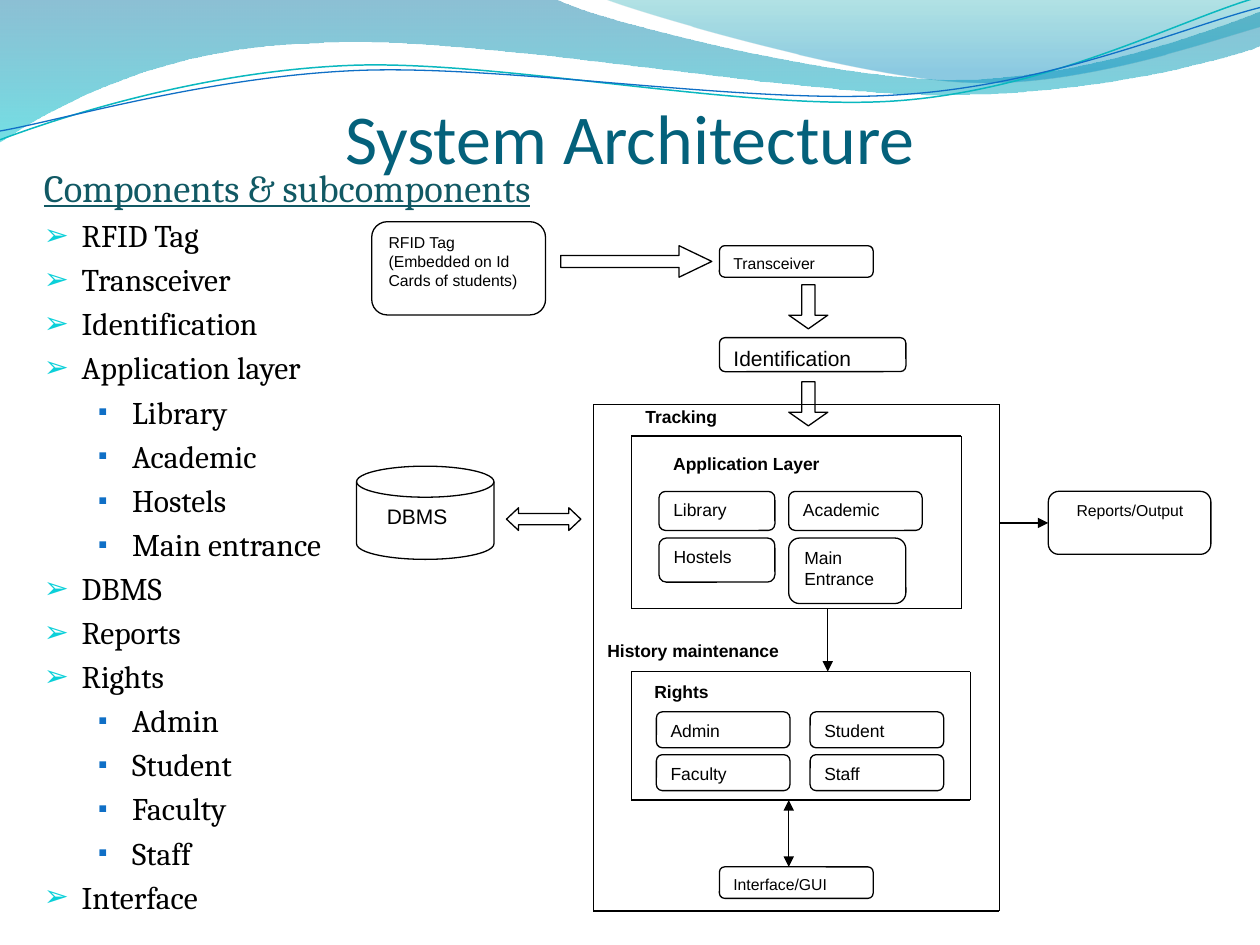
import itertools

import lxml.etree
import pptx
import pptx.dml.color
import pptx.enum.shapes
import pptx.enum.text
import pptx.oxml.ns
import pptx.util

RGBColor = pptx.dml.color.RGBColor
BLACK = RGBColor(0x00, 0x00, 0x00)
WHITE = RGBColor(0xFF, 0xFF, 0xFF)
TITLE_TEAL = RGBColor(0x04, 0x61, 0x7B)
HEADING_TEAL = RGBColor(0x11, 0x59, 0x64)
CYAN = RGBColor(0x0B, 0xD0, 0xD9)
BLUE = RGBColor(0x0F, 0x6F, 0xC6)
WAVE_LINE = RGBColor(0x0A, 0xB8, 0xBF)
DEEP_BLUE = RGBColor(0x00, 0x74, 0xA1)
AQUA = RGBColor(0x00, 0xC6, 0xCF)
GREEN_TEAL = RGBColor(0x00, 0xA1, 0xA9)
SKY = RGBColor(0x00, 0x8B, 0xBF)

Preset = pptx.enum.shapes.MSO_SHAPE
PROCESS = Preset.FLOWCHART_ALTERNATE_PROCESS
ROUNDED = Preset.ROUNDED_RECTANGLE
COLUMNS, ROWS = 100, 75
# Bullet character, colour, size, left margin and hanging indent for each level
BULLETS = [("➢", CYAN, 95, 0.3, -0.3), ("▪", BLUE, 85, 0.7, -0.27)]

COMPONENTS = [
    ("RFID Tag", []), ("Transceiver", []), ("Identification", []),
    ("Application layer", ["Library", "Academic", "Hostels", "Main entrance"]),
    ("DBMS", []), ("Reports", []),
    ("Rights", ["Admin", "Student", "Faculty", "Staff"]),
    ("Interface", []),
]


def add_xml(parent, tag, **attributes):
    return lxml.etree.SubElement(parent, pptx.oxml.ns.qn(tag), **attributes)


class ArchitectureSlide:
    """Draws on a grid of 100 columns by 75 rows."""

    def __init__(self, presentation):
        self.slide = presentation.slides.add_slide(presentation.slide_layouts[5])
        self.column = presentation.slide_width / COLUMNS
        self.row = presentation.slide_height / ROWS
        self.line_width = pptx.util.Pt(0.75)

    def place(self, column, row):
        return round(column * self.column), round(row * self.row)

    def add_run(self, paragraph, text, font, size, color, bold=None, underline=None):
        run = paragraph.add_run()
        run.text = text
        run.font.name, run.font.size = font, pptx.util.Pt(size)
        run.font.bold, run.font.underline = bold, underline
        run.font.color.rgb = color

    def title(self, text, left, top, width, height):
        shape = self.slide.shapes.title
        shape.left, shape.top = self.place(left, top)
        shape.width, shape.height = self.place(width, height)
        frame = shape.text_frame
        frame.auto_size = pptx.enum.text.MSO_AUTO_SIZE.NONE
        frame.vertical_anchor = pptx.enum.text.MSO_ANCHOR.BOTTOM
        frame.margin_left = frame.margin_right = frame.margin_bottom = 0
        paragraph = frame.paragraphs[0]
        paragraph.alignment = pptx.enum.text.PP_ALIGN.CENTER
        self.add_run(paragraph, text, "Calibri", 40, TITLE_TEAL)

    def outline(self, heading, components, left, top, width, height):
        box = self.slide.shapes.add_textbox(*self.place(left, top), *self.place(width, height))
        frame = box.text_frame
        frame.word_wrap = True
        paragraph = frame.paragraphs[0]
        self.format_paragraph(paragraph, 0, bullet=False)
        self.add_run(paragraph, heading, "Cambria", 22, HEADING_TEAL, underline=True)
        for component, parts in components:
            for level, text in [(0, component), *((1, part) for part in parts)]:
                paragraph = frame.add_paragraph()
                self.format_paragraph(paragraph, level)
                self.add_run(paragraph, text, "Cambria", 18, BLACK)

    def format_paragraph(self, paragraph, level, bullet=True):
        character, color, size, margin, indent = BULLETS[level]
        paragraph.level = level
        properties = paragraph._p.get_or_add_pPr()
        properties.set("marL", str(pptx.util.Inches(margin)))
        properties.set("indent", str(pptx.util.Inches(indent)))
        add_xml(add_xml(properties, "a:spcBef"), "a:spcPct", val="20000")
        if bullet:
            add_xml(add_xml(properties, "a:buClr"), "a:srgbClr", val=str(color))
            add_xml(properties, "a:buSzPct", val=str(size * 1000))
            add_xml(properties, "a:buFont", typeface="Arial")
            add_xml(properties, "a:buChar", char=character)

    def block(self, preset, left, top, width, height, *texts, size=10, bold=None,
              line=BLACK, adjust=(), indent=0, rotation=0):
        shape = self.slide.shapes.add_shape(
            preset, *self.place(left, top), *self.place(width, height))
        shape.shadow.inherit = False
        shape.rotation = rotation
        shape.fill.solid()
        shape.fill.fore_color.rgb = WHITE
        shape.line.color.rgb, shape.line.width = line, self.line_width
        for index, value in enumerate(adjust):
            shape.adjustments[index] = value
        frame = shape.text_frame
        frame.vertical_anchor = pptx.enum.text.MSO_ANCHOR.TOP
        frame.margin_left += pptx.util.Inches(indent)
        for index, text in enumerate(texts):
            paragraph = frame.add_paragraph() if index else frame.paragraphs[0]
            paragraph.alignment = pptx.enum.text.PP_ALIGN.LEFT
            self.add_run(paragraph, text, "Arial", size, BLACK, bold)

    def label(self, text, left, top, width, height):
        self.block(ROUNDED, left, top, width, height, text, bold=True, line=WHITE)

    def connector(self, start, end, *arrowheads):
        """Arrowheads are any of headEnd (at start) and tailEnd (at end)."""
        connector = self.slide.shapes.add_connector(
            pptx.enum.shapes.MSO_CONNECTOR.STRAIGHT, *self.place(*start), *self.place(*end))
        connector.line.color.rgb, connector.line.width = BLACK, self.line_width
        for arrowhead in arrowheads:
            add_xml(connector.line._get_or_add_ln(), "a:" + arrowhead, type="triangle")
        add_xml(connector._element.spPr, "a:effectLst")

    def frame(self, left, top, right, bottom):
        corners = [(left, top), (right, top), (right, bottom), (left, bottom), (left, top)]
        for start, end in itertools.pairwise(corners):
            self.connector(start, end)

    def curve(self, start, segments, closed):
        """Segments hold one point for a straight line, three for a cubic curve."""
        builder = self.slide.shapes.build_freeform(*self.place(*start), scale=1.0)
        builder.add_line_segments(
            [self.place(*point) for segment in segments for point in segment], close=closed)
        shape = builder.convert_to_shape()
        shape.shadow.inherit = False
        lines = iter(list(shape._element.iter(pptx.oxml.ns.qn("a:lnTo"))))
        for segment in segments:
            first, *others = itertools.islice(lines, len(segment))
            if others:
                first.tag = pptx.oxml.ns.qn("a:cubicBezTo")
            for other in others:
                first.append(other[0])
                other.getparent().remove(other)
        return shape

    def wave(self, start, segments, stops):
        """Stops are (colour, position, opacity in percent), from top to bottom."""
        shape = self.curve(start, segments, True)
        shape.line.fill.background()
        shape.fill.gradient()
        shape.fill.gradient_angle = 270
        for stop, (color, position, opacity) in zip(shape.fill.gradient_stops, stops):
            stop.color.rgb, stop.position = color, position
            add_xml(stop._gs[0], "a:alpha", val=str(opacity * 1000))

    def ripple(self, start, segments, color, width):
        shape = self.curve(start, segments, False)
        shape.fill.background()
        shape.line.color.rgb, shape.line.width = color, pptx.util.Pt(width)


def draw_waves(page):
    page.wave((0, 0), [
        [(44, -0.1)], [(47.6, 1.7), (66.4, 6.3), (75.8, 6.3)],
        [(85.3, 6.3), (95.8, 2.6), (100, 0.9)], [(100.1, 3.6)],
        [(98.3, 4.4), (87, 7.6), (74.6, 7.5)], [(62.2, 7.5), (38.2, 2.8), (25.7, 3.4)],
        [(12.9, 3.6), (4.6, 8.3), (-0.1, 11.3)], [(0, 0)],
    ], [(DEEP_BLUE, 0, 45), (AQUA, 1, 55)])
    page.wave((47.9, -0.1), [
        [(50.9, 1.1), (68.2, 6.2), (76.9, 6.5)], [(85.6, 6.9), (96.1, 3.2), (100, 2.1)],
        [(100, 0)], [(47.9, -0.1)],
    ], [(GREEN_TEAL, 0, 30), (SKY, 0.8, 45)])
    page.ripple((0, 11.1), [
        [(4.8, 9.3), (15.8, 5.7), (27.7, 5.2)], [(39.5, 4.7), (59.3, 8.9), (71.3, 8)],
        [(83.3, 7.1), (93.8, 1.5), (99.8, -0.2)],
    ], WAVE_LINE, 0.85)
    page.ripple((0, 10.4), [
        [(4.7, 9.6), (16.4, 6.1), (28.3, 5.6)], [(40.3, 5.1), (59.7, 8.4), (71.7, 7.5)],
        [(83.6, 6.7), (94.1, 2.1), (100, 0.6)],
    ], BLUE, 0.75)


def draw_diagram(page):
    page.block(PROCESS, 29.5, 17.6, 13.8, 7.4, "RFID Tag",
               "(Embedded on Id Cards of students)", size=9)
    page.block(PROCESS, 57.1, 19.5, 12.2, 2.5, "Transceiver", size=9)
    page.block(PROCESS, 83.2, 39, 12.9, 5, "Reports/Output", size=9, indent=0.1)
    page.block(PROCESS, 57.1, 68.8, 12.2, 2.5, "Interface/GUI", size=9)
    page.block(Preset.FLOWCHART_MAGNETIC_DISK, 28.3, 37, 10.9, 7.4, "DBMS", size=12, indent=0.14)
    page.block(ROUNDED, 57.1, 26.8, 14.8, 2.7, "Identification", size=12)

    page.block(Preset.LEFT_RIGHT_ARROW, 40.2, 40.3, 5.9, 1.8, adjust=(0.5, 0.53), rotation=180)
    page.block(Preset.RIGHT_ARROW, 44.5, 19.5, 12, 2.5, adjust=(0.38, 1.04))
    for top in (22.8, 30.5):
        page.block(Preset.RIGHT_ARROW, 62.4, top, 3.5, 3.1, adjust=(0.34, 0.35), rotation=90)

    page.label("Tracking", 50.1, 31.6, 11.5, 2.8)
    page.label("Application Layer", 52.3, 35.3, 18.4, 3.1)
    page.label("History maintenance", 47.1, 50.2, 18, 2.6)
    page.label("Rights", 50.8, 53.4, 9.4, 3.3)

    for text, left, top, width, height in [
            ("Library", 52.3, 39, 9.2, 3.1), ("Academic", 62.6, 39, 10.6, 3.1),
            ("Hostels", 52.3, 42.7, 9.2, 3.5), ("Main Entrance", 62.6, 42.7, 9.3, 5.2)]:
        page.block(ROUNDED, left, top, width, height, text)
    for index, text in enumerate(["Admin", "Student", "Faculty", "Staff"]):
        row, column = divmod(index, 2)
        page.block(ROUNDED, 52.1 + 12.2 * column, 56.5 + 3.4 * row, 10.6, 2.85, text)

    page.frame(50.1, 34.6, 76.3, 48.3)
    page.frame(50.1, 53.3, 77, 63.5)
    page.frame(47.1, 32.1, 79.3, 72.3)
    page.connector((62.6, 63.5), (62.6, 68.8), "headEnd", "tailEnd")
    page.connector((65.7, 48.3), (65.7, 53.3), "tailEnd")
    page.connector((79.3, 41.5), (83.2, 41.5), "tailEnd")


def main():
    presentation = pptx.Presentation()
    presentation.slide_width = pptx.util.Inches(10)
    presentation.slide_height = pptx.util.Inches(7.5)
    page = ArchitectureSlide(presentation)
    draw_waves(page)
    page.title("System Architecture", 5, 6.7, 90, 7.5)
    page.outline("Components & subcomponents", COMPONENTS, 2.5, 12.5, 47.5, 62.5)
    draw_diagram(page)
    presentation.save("out.pptx")


if __name__ == "__main__":
    main()
